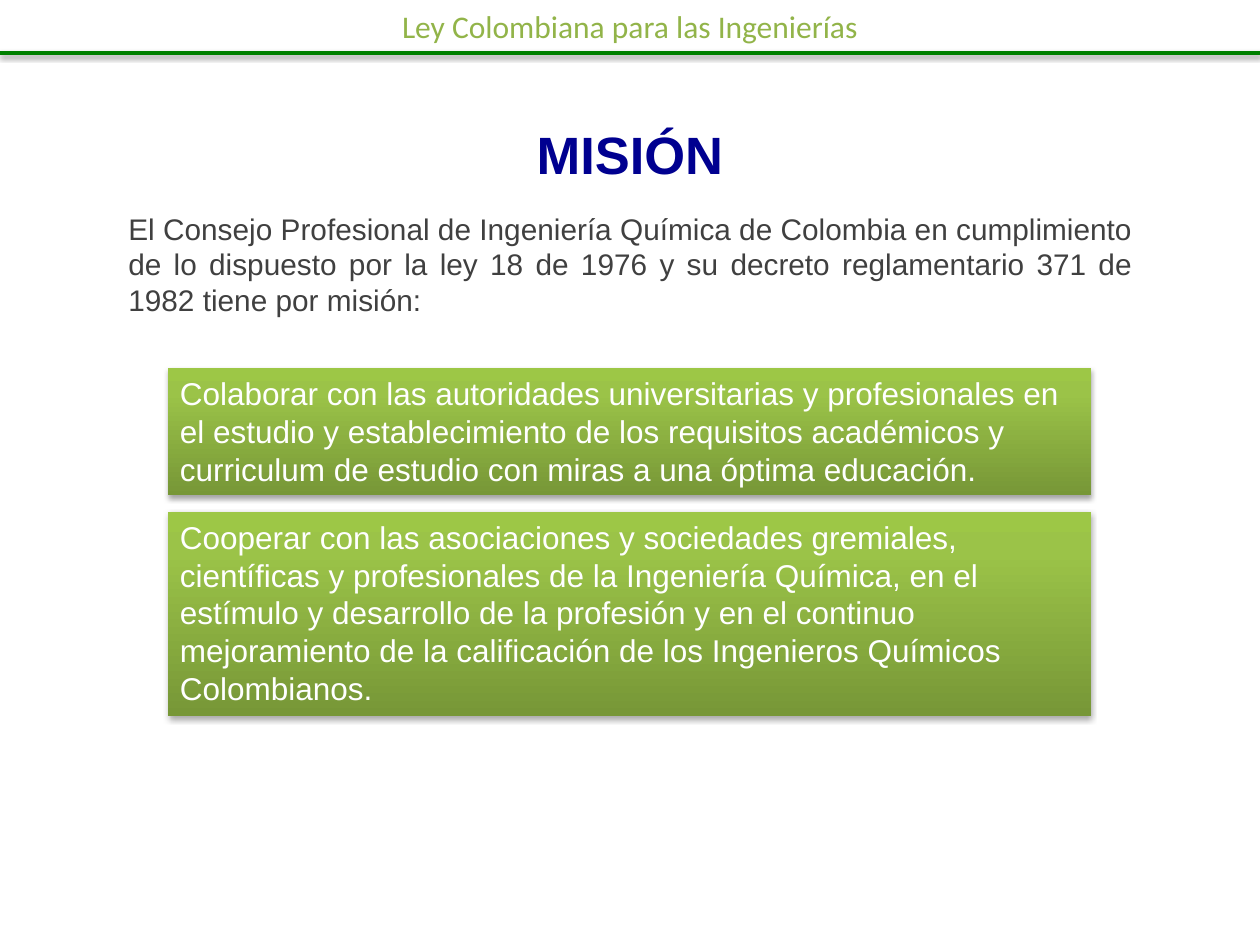
from dataclasses import dataclass

import pptx
import pptx.dml.color
import pptx.enum.shapes
import pptx.enum.text
import pptx.oxml
import pptx.oxml.ns
import pptx.util
from lxml import etree

ALIGN = pptx.enum.text.PP_ALIGN
ANCHOR = pptx.enum.text.MSO_ANCHOR
qn = pptx.oxml.ns.qn

COLORS = {
    "rule": "008000",
    "header": "92B449",
    "title": "000090",
    "body": "404040",
    "white": "FFFFFF",
    "shadow": "000000",
    "green_dark": "779737",
    "green_mid": "9BC348",
    "green_light": "9DC746",
}
GREEN_STOPS = ((0, "green_dark"), (80, "green_mid"), (100, "green_light"))

COLUMNS, ROWS = 100, 75
CELL = pptx.util.Inches(0.1)


@dataclass(frozen=True)
class Area:
    """Place on the grid, in columns and rows."""
    column: float
    row: float
    columns: float
    rows: float

    def lengths(self) -> list[int]:
        return [round(n * CELL) for n in (self.column, self.row, self.columns, self.rows)]


@dataclass(frozen=True)
class Passage:
    text: str
    area: Area
    size: float
    color: str
    font: str = "Arial"
    bold: bool = False
    align: ALIGN = ALIGN.LEFT
    anchor: ANCHOR = ANCHOR.TOP


HEADER = Passage("Ley Colombiana para las Ingenierías", Area(0, 0.1, COLUMNS, 4),
                 18, "header", font="Calibri", align=ALIGN.CENTER)
TITLE = Passage("MISIÓN", Area(0, 7.6, COLUMNS, 9.2), 30, "title",
                bold=True, align=ALIGN.CENTER, anchor=ANCHOR.MIDDLE)
INTRO = Passage(
    "El Consejo Profesional de Ingeniería Química de Colombia en cumplimiento de lo "
    "dispuesto por la ley 18 de 1976 y su decreto reglamentario 371 de 1982 tiene por misión:",
    Area(9.2, 16.2, 81.7, 9.6), 17, "body", align=ALIGN.JUSTIFY)
GOALS = (
    Passage(
        "Colaborar con las autoridades universitarias y profesionales en el estudio y "
        "establecimiento de los requisitos académicos y curriculum de estudio con miras "
        "a una óptima educación.",
        Area(13.3, 29.2, 73.3, 10.1), 18, "white"),
    Passage(
        "Cooperar con las asociaciones y sociedades gremiales, científicas y profesionales "
        "de la Ingeniería Química, en el estímulo y desarrollo de la profesión y en el "
        "continuo mejoramiento de la calificación de los Ingenieros Químicos Colombianos.",
        Area(13.3, 40.6, 73.3, 16.2), 18, "white"),
)


def rgb(name: str) -> pptx.dml.color.RGBColor:
    return pptx.dml.color.RGBColor.from_string(COLORS[name])


def add_color(parent: etree._Element, name: str) -> etree._Element:
    return etree.SubElement(parent, qn("a:srgbClr"), val=COLORS[name])


def cast_shadow(properties: etree._Element, distance: float, opacity: int) -> None:
    """Put a soft downward shadow in the effect list, adding the list if missing."""
    effects = properties.find(qn("a:effectLst"))
    if effects is None:
        effects = etree.SubElement(properties, qn("a:effectLst"))
    shadow = etree.SubElement(
        effects, qn("a:outerShdw"), blurRad=str(pptx.util.Pt(3.1)),
        dist=str(pptx.util.Pt(distance)), dir="5400000", rotWithShape="0")
    etree.SubElement(add_color(shadow, "shadow"), qn("a:alpha"), val=str(opacity * 1000))


def write(shape, passage: Passage) -> None:
    frame = shape.text_frame
    frame.word_wrap = True
    frame.vertical_anchor = passage.anchor
    paragraph = frame.paragraphs[0]
    paragraph.text = passage.text
    paragraph.alignment = passage.align
    paragraph.font.name = passage.font
    paragraph.font.size = pptx.util.Pt(passage.size)
    paragraph.font.bold = passage.bold
    paragraph.font.color.rgb = rgb(passage.color)


def add_passage(slide, passage: Passage) -> None:
    write(slide.shapes.add_textbox(*passage.area.lengths()), passage)


def add_goal(slide, goal: Passage) -> None:
    panel = slide.shapes.add_shape(
        pptx.enum.shapes.MSO_SHAPE.RECTANGLE, *goal.area.lengths())
    panel.fill.gradient()
    panel.fill.gradient_angle = 90
    properties = panel._element.spPr
    stops = properties.find(".//" + qn("a:gsLst"))
    for stop in list(stops):
        stops.remove(stop)
    for position, color in GREEN_STOPS:
        add_color(etree.SubElement(stops, qn("a:gs"), pos=str(position * 1000)), color)
    panel.line.fill.background()
    panel.shadow.inherit = False
    cast_shadow(properties, distance=1.8, opacity=35)
    write(panel, goal)


def add_header_rule(slide, row: float) -> None:
    y = round(row * CELL)
    rule = slide.shapes.add_connector(
        pptx.enum.shapes.MSO_CONNECTOR.STRAIGHT, 0, y, COLUMNS * CELL, y)
    rule.line.color.rgb = rgb("rule")
    rule.line.width = pptx.util.Pt(2)
    cast_shadow(rule._element.spPr, distance=1.6, opacity=38)


def main() -> None:
    deck = pptx.Presentation()
    deck.slide_width, deck.slide_height = COLUMNS * CELL, ROWS * CELL
    slide = deck.slides.add_slide(deck.slide_layouts[6])
    add_header_rule(slide, 4.2)
    for passage in (HEADER, TITLE, INTRO):
        add_passage(slide, passage)
    for goal in GOALS:
        add_goal(slide, goal)
    deck.save("out.pptx")


if __name__ == "__main__":
    main()
